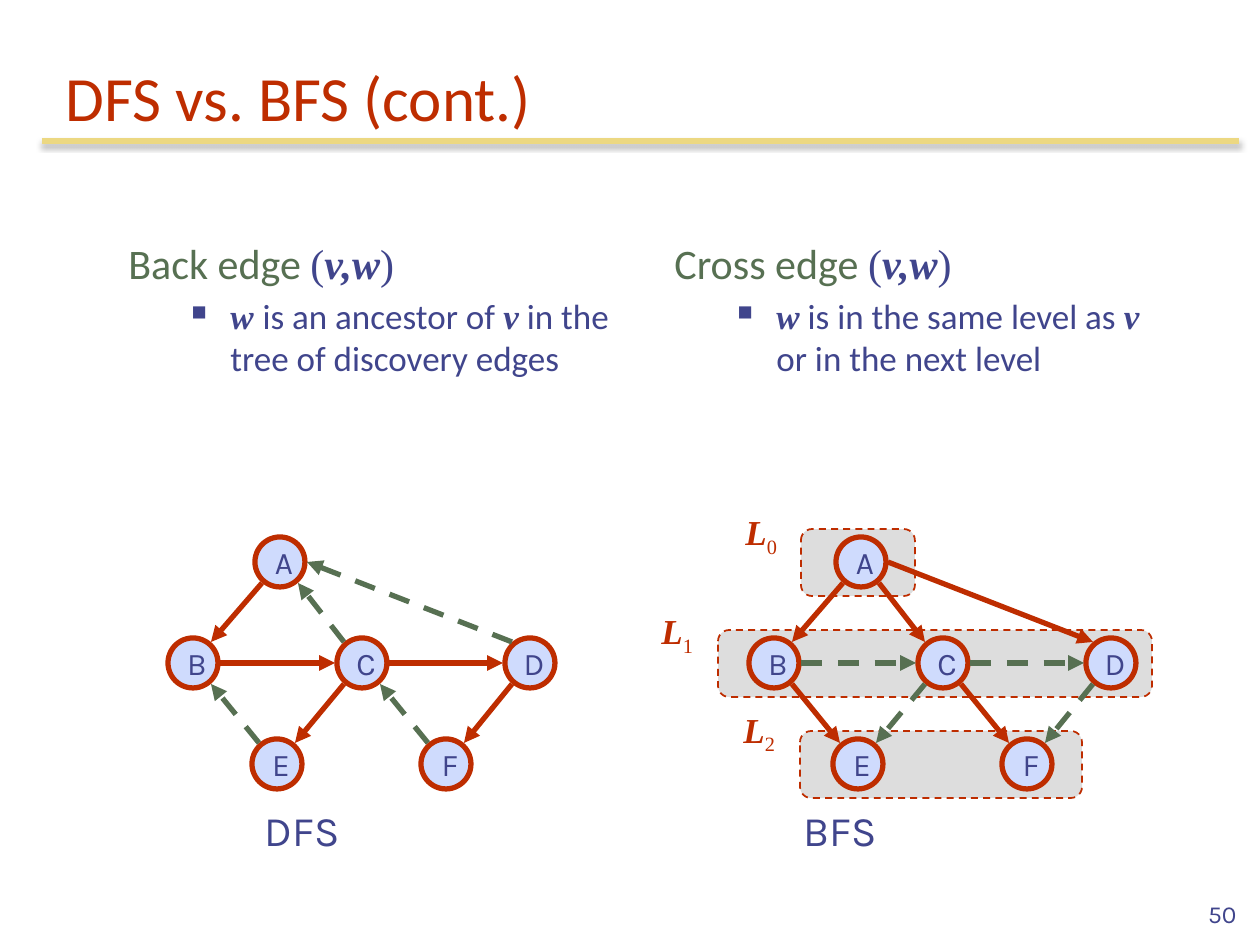
from lxml import etree
from pptx import Presentation
from pptx.dml.color import RGBColor
from pptx.enum.dml import MSO_LINE
from pptx.enum.shapes import MSO_CONNECTOR, MSO_SHAPE
from pptx.enum.text import MSO_ANCHOR, PP_ALIGN
from pptx.oxml.ns import qn
from pptx.util import Emu, Pt

SCALE = 914400 / 126
RED = RGBColor(0xBE, 0x2D, 0x00)
GREEN = RGBColor(0x57, 0x70, 0x52)
NAVY = RGBColor(0x40, 0x45, 0x8C)
GOLD = RGBColor(0xEC, 0xD8, 0x82)
PALE_BLUE = RGBColor(0xCF, 0xDB, 0xFD)
GREY = RGBColor(0xDD, 0xDD, 0xDD)
DASH = MSO_LINE.DASH
STRAIGHT = MSO_CONNECTOR.STRAIGHT
OVAL, ROUNDED = MSO_SHAPE.OVAL, MSO_SHAPE.ROUNDED_RECTANGLE
TOP, MIDDLE, BOTTOM = MSO_ANCHOR.TOP, MSO_ANCHOR.MIDDLE, MSO_ANCHOR.BOTTOM
LEFT, CENTER, RIGHT = PP_ALIGN.LEFT, PP_ALIGN.CENTER, PP_ALIGN.RIGHT

TITLE = {"name": "Calibri", "size": Pt(36), "color": RED}
TERM = {"name": "Calibri", "size": Pt(24), "color": GREEN}
PAREN = {"name": "Times New Roman", "size": Pt(24), "color": NAVY}
PAIR = {**PAREN, "bold": True, "italic": True}
DETAIL = {"name": "Calibri", "size": Pt(20), "color": NAVY}
VERTEX = {**PAIR, "size": Pt(20)}
LEVEL = {**VERTEX, "color": RED}
SUBSCRIPT = {"name": "Times New Roman", "size": Pt(20), "color": RED}
NODE = {"name": "Karla", "size": Pt(18), "color": NAVY}
CAPTION = {**NODE, "size": Pt(24)}
NUMBER = {**NODE, "size": Pt(14)}

NODES = {"A": (280, 562), "B": (193, 663), "C": (362, 663),
         "D": (530, 663), "E": (277, 764), "F": (446, 764)}
RADIUS = 25
SIDE_GAP = 27
CORNER_X, CORNER_Y = 18, 21
BFS_SHIFT = 581


def px(length):
    return Emu(round(length * SCALE))


def add_runs(paragraph, parts):
    for text, style in parts:
        run = paragraph.add_run()
        run.text = text
        for attribute, value in style.items():
            if attribute == "color":
                run.font.color.rgb = value
            else:
                setattr(run.font, attribute, value)
        if style is SUBSCRIPT:
            run.font._element.set("baseline", "-25000")


def add_text(slide, box, parts, anchor=TOP, align=LEFT):
    frame = slide.shapes.add_textbox(*map(px, box)).text_frame
    frame.word_wrap = True
    frame.vertical_anchor = anchor
    frame.paragraphs[0].alignment = align
    add_runs(frame.paragraphs[0], parts)
    return frame


def set_bullet(paragraph):
    properties = paragraph._p.get_or_add_pPr()
    properties.set("marL", str(px(102)))
    properties.set("indent", str(px(-39)))
    color = etree.SubElement(properties, qn("a:buClr"))
    etree.SubElement(color, qn("a:srgbClr"), val=str(NAVY))
    etree.SubElement(properties, qn("a:buSzPct"), val="60000")
    etree.SubElement(properties, qn("a:buChar"), char="■")


def add_definition(slide, left, term, detail):
    pair = [(term, TERM), ("(", PAREN), ("v,w", PAIR), (")", PAREN)]
    frame = add_text(slide, (left, 231, 525, 290), pair)
    bullet = frame.add_paragraph()
    set_bullet(bullet)
    bullet.space_before = Pt(4)
    add_runs(bullet, detail)


def add_line(slide, start, end, color):
    line = slide.shapes.add_connector(STRAIGHT, *map(px, (*start, *end)))
    line.line.color.rgb = color
    line.line.width = Pt(3)
    effects = etree.SubElement(line._element.spPr, qn("a:effectLst"))
    return line, effects


def add_title_rule(slide):
    _, effects = add_line(slide, (42, 141), (1239, 141), GOLD)
    shadow = etree.SubElement(effects, qn("a:outerShdw"), blurRad=str(Pt(3.1)),
                              dist=str(Pt(1.8)), dir="5400000", rotWithShape="0")
    black = etree.SubElement(shadow, qn("a:srgbClr"), val="000000")
    etree.SubElement(black, qn("a:alpha"), val="35000")


def add_shape(slide, kind, box, fill, width):
    shape = slide.shapes.add_shape(kind, *map(px, box))
    shape.shadow.inherit = False
    shape.fill.solid()
    shape.fill.fore_color.rgb = fill
    shape.line.color.rgb = RED
    shape.line.width = Pt(width)
    return shape


def add_level(slide, number, band, label):
    add_shape(slide, ROUNDED, band, GREY, 1).line.dash_style = DASH
    add_text(slide, (*label, 64, 54), [("L", LEVEL), (str(number), SUBSCRIPT)])


def add_node(slide, letter, x, y):
    box = (x - RADIUS, y - RADIUS, 2 * RADIUS, 2 * RADIUS)
    frame = add_shape(slide, OVAL, box, PALE_BLUE, 3).text_frame
    frame.word_wrap = False
    frame.margin_left, frame.margin_right = px(8), 0
    frame.vertical_anchor = MIDDLE
    frame.paragraphs[0].alignment = CENTER
    add_runs(frame.paragraphs[0], [(letter, NODE)])


def edge_ends(source, target, shift):
    first, last = sorted((source, target))
    (x1, y1), (x2, y2) = NODES[first], NODES[last]
    side = 1 if x2 > x1 else -1
    if x2 - x1 > 2 * (y2 - y1):
        start = (x1 + SIDE_GAP, y1)
    else:
        start = (x1 + side * CORNER_X, y1 + CORNER_Y)
    if y1 == y2:
        end = (x2 - SIDE_GAP, y2)
    else:
        end = (x2 - side * CORNER_X, y2 - CORNER_Y)
    ends = [(x + shift, y) for x, y in (start, end)]
    return ends if source == first else ends[::-1]


def add_edge(slide, edge, shift, color):
    line, _ = add_line(slide, *edge_ends(*edge, shift), color)
    if color == GREEN:
        line.line.dash_style = DASH
    outline = line.line._get_or_add_ln()
    etree.SubElement(outline, qn("a:tailEnd"), type="triangle")


def add_graph(slide, shift, discovery, other):
    for letter, (x, y) in NODES.items():
        add_node(slide, letter, x + shift, y)
    for edges, color in ((discovery, RED), (other, GREEN)):
        for edge in edges.split():
            add_edge(slide, edge, shift, color)


def main():
    deck = Presentation()
    deck.slide_width, deck.slide_height = px(1260), px(945)
    slide = deck.slides.add_slide(deck.slide_layouts[6])

    add_title_rule(slide)
    add_text(slide, (53, 42, 1176, 98), [("DFS vs. BFS (cont.)", TITLE)], BOTTOM)
    add_definition(slide, 116, "Back edge ", [
        ("w ", VERTEX), ("is an ancestor of ", DETAIL), ("v", VERTEX),
        (" in the tree of discovery edges", DETAIL)])
    add_definition(slide, 662, "Cross edge ", [
        ("w", VERTEX), (" is in the same level as ", DETAIL), ("v", VERTEX),
        (" or in the next level", DETAIL)])

    levels = [((801, 529, 114, 67), (733, 504)),
              ((718, 630, 434, 67), (649, 603)),
              ((800, 731, 282, 67), (731, 702))]
    for number, (band, label) in enumerate(levels):
        add_level(slide, number, band, label)
    add_graph(slide, BFS_SHIFT, "AB AC AD BE CF", "BC CD CE DF")
    add_graph(slide, 0, "AB BC CD CE DF", "CA DA EB FC")

    for left, caption in ((252, "DFS"), (791, "BFS")):
        add_text(slide, (left, 798, 219, 63), [(caption, CAPTION)])
    add_text(slide, (987, 872, 262, 63), [("50", NUMBER)], BOTTOM, RIGHT)
    deck.save("out.pptx")


if __name__ == "__main__":
    main()
